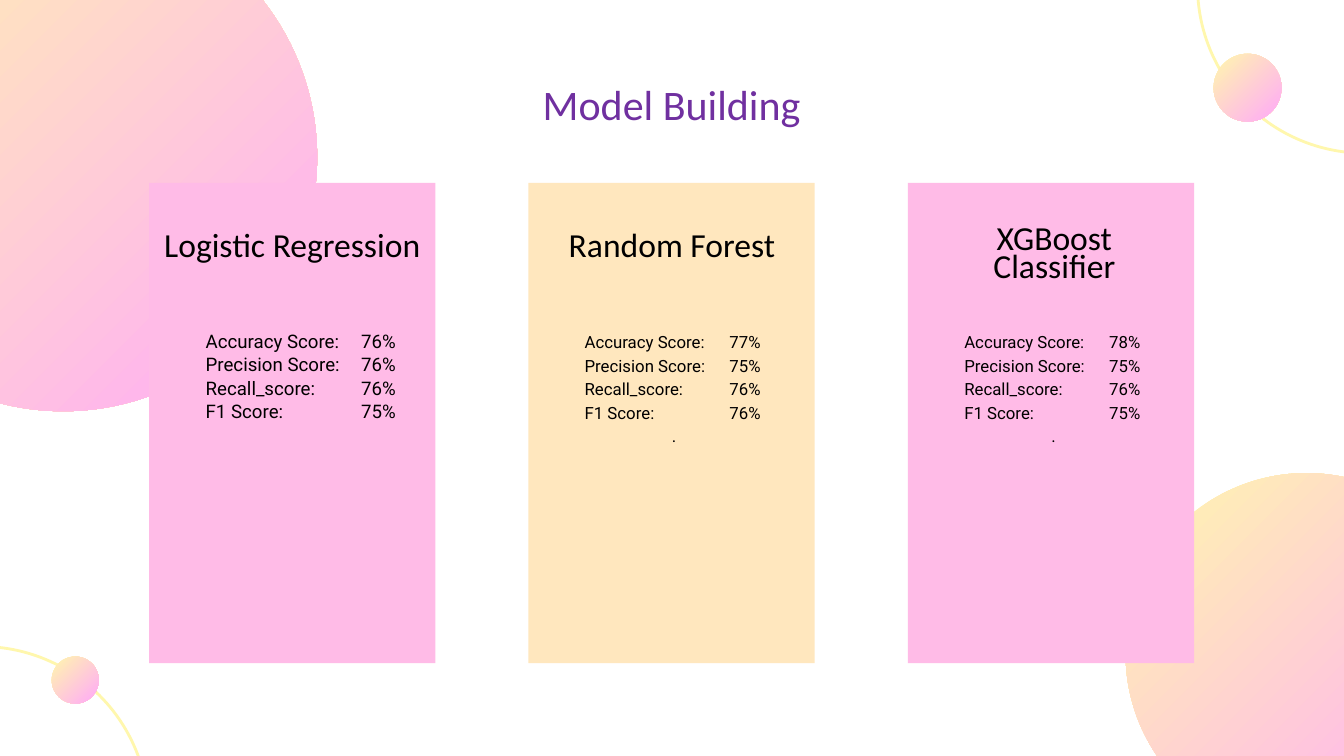
"""Build the model building slide with three score cards."""
from dataclasses import dataclass

from lxml.etree import SubElement
from pptx import Presentation
from pptx.dml.color import RGBColor
from pptx.enum.shapes import MSO_SHAPE as Kind
from pptx.enum.text import MSO_ANCHOR as Anchor, MSO_AUTO_SIZE as Fit, PP_ALIGN as Align
from pptx.oxml.ns import qn
from pptx.util import Inches, Pt

CREAM, PINK, PEACH, ROSE = "FFF7AD", "FFA9F9", "FFE7BE", "FFBBE7"
BLACK, PURPLE = "000000", "7030A0"


@dataclass
class Box:
    x: float
    y: float
    w: float
    h: float

    def lengths(self) -> list:
        return [Inches(v) for v in (self.x, self.y, self.w, self.h)]


@dataclass
class Disc:
    x: float
    y: float
    size: float
    ring: bool = False


@dataclass
class Card:
    name: str
    fill: str
    head: Box
    lead: float
    body: Box
    pad: float
    size: float
    scores: tuple
    end: str = ""


DISCS = (
    Disc(-2.84, -1.44, 7.56),
    Disc(16.75, 7.04, 5.38),
    Disc(17.82, -2.7, 4.98, True),
    Disc(18.06, 0.8, 1.01),
    Disc(-2.77, 9.62, 4.98, True),
    Disc(0.77, 9.77, 0.7),
)
LABELS = ("Accuracy Score:", "Precision Score:", "Recall_score:", "F1 Score:")
CARDS = (
    Card("Logistic Regression", ROSE, Box(2.22, 3.29, 4.26, 1.29), 46.1,
         Box(2.9, 4.89, 3.19, 1.38), 0.16, 20, (76, 76, 76, 75)),
    Card("Random Forest", PEACH, Box(7.87, 3.29, 4.26, 1.29), 46.1,
         Box(8.58, 4.89, 2.9, 1.73), 0.12, 18, (77, 75, 76, 76), "."),
    Card("XGBoost Classifier", ROSE, Box(14.2, 3.39, 2.98, 0.89), 31,
         Box(14.23, 4.89, 2.9, 1.73), 0.12, 18, (78, 75, 76, 75), "."),
)


def color(code: str) -> RGBColor:
    return RGBColor.from_string(code)


def add_disc(slide, disc: Disc) -> None:
    box = Box(disc.x, disc.y, disc.size, disc.size)
    shape = slide.shapes.add_shape(Kind.OVAL, *box.lengths())
    shape.shadow.inherit = False
    if disc.ring:
        shape.fill.background()
        shape.line.color.rgb = color(CREAM)
        shape.line.width = Pt(3)
        return
    shape.line.fill.background()
    shape.fill.gradient()
    shape.fill.gradient_angle = 315
    for stop, code, pos in zip(shape.fill.gradient_stops, (CREAM, PINK), (0, 1)):
        stop.color.rgb = color(code)
        stop.position = pos


def set_frame(shape, pad: float = 0):
    frame = shape.text_frame
    frame.word_wrap = True
    frame.auto_size = Fit.NONE
    frame.vertical_anchor = Anchor.TOP
    frame.margin_left = frame.margin_right = Inches(pad)
    frame.margin_top = frame.margin_bottom = 0
    return frame


def add_run(para, text: str, font: str, size: float, lead: float,
            code: str = BLACK, align=Align.CENTER) -> None:
    para.alignment = align
    para.line_spacing = Pt(lead)
    run = para.add_run()
    run.text = text
    run.font.name = font
    run.font.size = Pt(size)
    run.font.color.rgb = color(code)


def add_tab(para, pos: float) -> None:
    tabs = SubElement(para._p.get_or_add_pPr(), qn("a:tabLst"))
    SubElement(tabs, qn("a:tab"), pos=str(Inches(pos)), algn="r")


def add_card(slide, card: Card, left: float) -> None:
    panel = slide.shapes.add_shape(Kind.RECTANGLE, *Box(left, 2.72, 4.26, 7.15).lengths())
    panel.shadow.inherit = False
    panel.fill.solid()
    panel.fill.fore_color.rgb = color(card.fill)
    panel.line.fill.background()

    head = set_frame(slide.shapes.add_textbox(*card.head.lengths()))
    add_run(head.paragraphs[0], card.name, "Calibri", 36, card.lead)

    body = set_frame(slide.shapes.add_textbox(*card.body.lengths()), card.pad)
    stop = card.body.w - 2 * card.pad - 0.04
    for i, (label, score) in enumerate(zip(LABELS, card.scores)):
        para = body.add_paragraph() if i else body.paragraphs[0]
        add_run(para, f"{label}\t{score}%", "Roboto", card.size, 25.2, align=Align.LEFT)
        add_tab(para, stop)
    if card.end:
        add_run(body.add_paragraph(), card.end, "Roboto", card.size, 25.2)


def main() -> None:
    deck = Presentation()
    deck.slide_width, deck.slide_height = Inches(20), Inches(11.25)
    slide = deck.slides.add_slide(deck.slide_layouts[5])
    for disc in DISCS:
        add_disc(slide, disc)
    for i, card in enumerate(CARDS):
        add_card(slide, card, 2.22 + i * 5.645)
    title = slide.shapes.title
    title.left, title.top, title.width, title.height = Box(6.56, 1.12, 6.87, 0.76).lengths()
    add_run(set_frame(title).paragraphs[0], "Model Building", "Calibri", 45, 57.2, PURPLE)
    deck.save("out.pptx")


if __name__ == "__main__":
    main()
